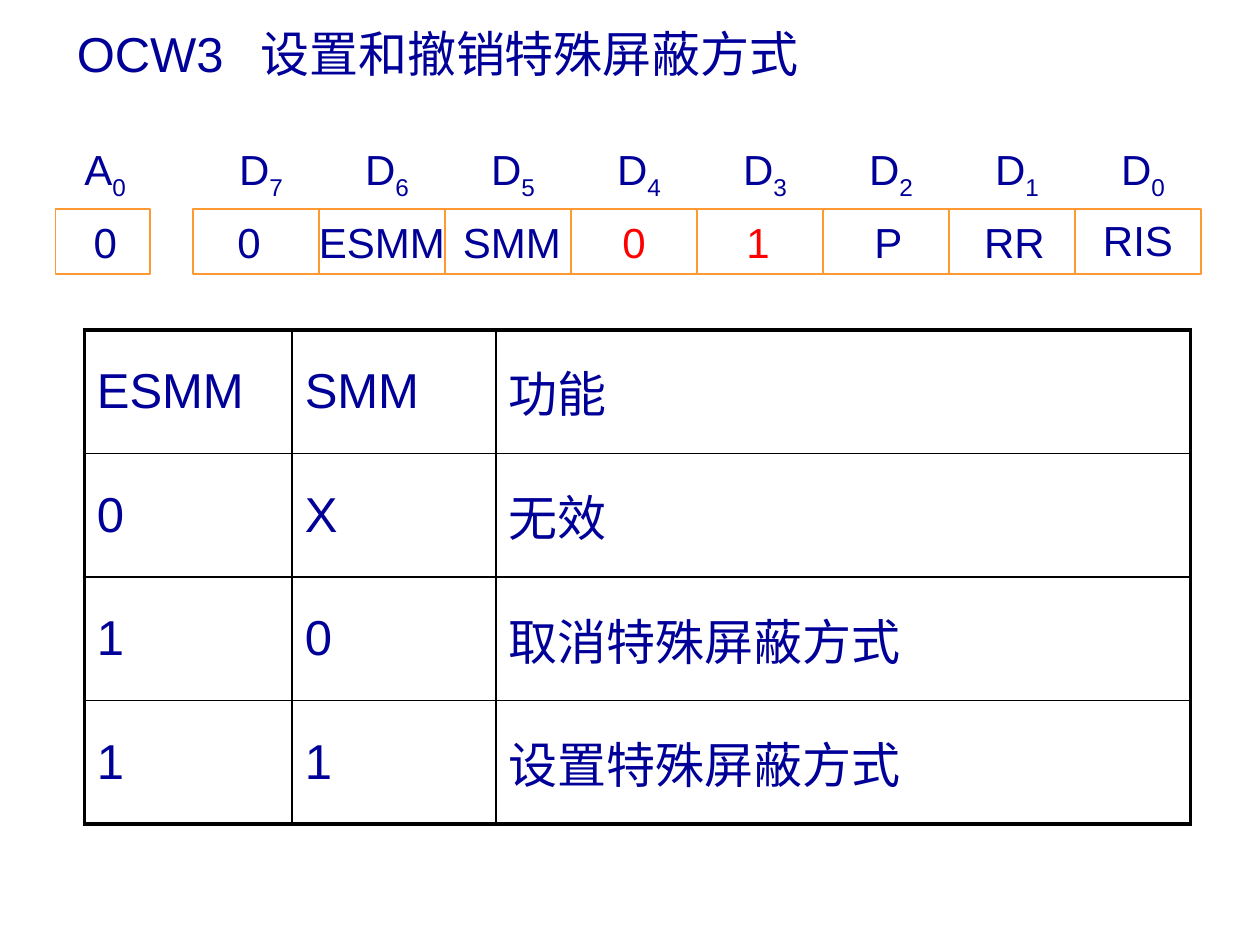
from dataclasses import dataclass

from lxml.etree import SubElement
from pptx import Presentation
from pptx.dml.color import RGBColor as Color
from pptx.enum.shapes import MSO_SHAPE as Shape
from pptx.enum.text import MSO_ANCHOR as Anchor, PP_ALIGN as Align
from pptx.oxml.ns import qn
from pptx.util import Cm, Pt

# Content
TITLE = "OCW3\t设置和撤销特殊屏蔽方式"
ADDRESS_BIT = [("A", "0")]
DATA_BITS = [("D" if n == 7 else "\tD", str(n)) for n in range(7, -1, -1)]
# text, box width, offset from the cell centre (x, y), fixed value?
ADDRESS_VALUE = ("0", 0.99, 0.05, 0, False)
REGISTER = [
    ("0", 0.99, -0.14, 0, False),
    ("ESMM", 3.05, 0, 0, False),
    ("SMM", 2.49, 0.08, 0, False),
    ("0", 0.99, 0, 0, True),
    ("1", 0.99, -0.04, 0, True),
    ("P", 1.07, 0.05, 0, False),
    ("RR", 1.73, 0.05, 0, False),
    ("RIS", 1.93, 0, -0.05, False),
]
FUNCTIONS = [
    ("ESMM", "SMM", "功能"),
    ("0", "X", "无效"),
    ("1", "0", "取消特殊屏蔽方式"),
    ("1", "1", "设置特殊屏蔽方式"),
]

# Layout in centimetres
BIT_TOP, BIT_WIDTH, BIT_HEIGHT = 4.22, 2.54, 1.3
ADDRESS_LEFT, ADDRESS_WIDTH = 1.12, 1.91
REGISTER_LEFT = 3.89
LABEL_TOP, LABEL_HEIGHT = 2.84, 1.27
VALUE_TOP = 4.24
TABLE_LEFT, TABLE_TOP = 1.7, 6.65
COLUMN_WIDTHS, ROW_HEIGHT = (4.19, 4.11, 14), 2.49


@dataclass(frozen=True)
class Theme:
    font: str = "Arial"
    text: Color = Color(0x00, 0x00, 0x99)
    fixed: Color = Color(0xFF, 0x00, 0x00)
    outline: Color = Color(0xFF, 0x99, 0x33)
    border: str = "000000"
    large: Pt = Pt(28)
    medium: Pt = Pt(24)
    thin: Pt = Pt(1)
    thick: Pt = Pt(2.25)


THEME = Theme()


def style(paragraph, size, color=THEME.text):
    paragraph.font.name = THEME.font
    paragraph.font.size = size
    paragraph.font.color.rgb = color


def add_tabs(paragraph, positions):
    tabs = SubElement(paragraph._p.get_or_add_pPr(), qn("a:tabLst"))
    for position in positions:
        SubElement(tabs, qn("a:tab"), pos=str(Cm(position)), algn="l")


def add_text_box(slide, left, top, width, height, wrap=False):
    frame = slide.shapes.add_textbox(Cm(left), Cm(top), Cm(width), Cm(height)).text_frame
    frame.word_wrap = wrap
    frame.vertical_anchor = Anchor.MIDDLE
    return frame.paragraphs[0]


def add_bit_labels(paragraph, labels):
    for letter, index in labels:
        paragraph.add_run().text = letter
        subscript = paragraph.add_run()
        subscript.text = index
        subscript.font._element.set("baseline", "-25000")
    style(paragraph, THEME.medium)


def add_bit(slide, left, width, value):
    cell = slide.shapes.add_shape(
        Shape.RECTANGLE, Cm(left), Cm(BIT_TOP), Cm(width), Cm(BIT_HEIGHT))
    cell.shadow.inherit = False
    cell.fill.background()
    cell.line.color.rgb = THEME.outline
    cell.line.width = THEME.thin

    text, box_width, shift_x, shift_y, fixed = value
    box_left = left + (width - box_width) / 2 + shift_x
    paragraph = add_text_box(slide, box_left, VALUE_TOP + shift_y, box_width, LABEL_HEIGHT)
    paragraph.text = text
    paragraph.alignment = Align.CENTER
    style(paragraph, THEME.medium, THEME.fixed if fixed else THEME.text)


def set_borders(cell, outer_sides):
    """Draw thick lines on the outer sides of the table, thin ones elsewhere."""
    properties = cell._tc.get_or_add_tcPr()
    for side, outer in outer_sides.items():
        width = THEME.thick if outer else THEME.thin
        line = SubElement(properties, qn(f"a:ln{side}"), w=str(width))
        fill = SubElement(line, qn("a:solidFill"))
        SubElement(fill, qn("a:srgbClr"), val=THEME.border)


def add_function_table(slide):
    rows, columns = len(FUNCTIONS), len(COLUMN_WIDTHS)
    table = slide.shapes.add_table(
        rows, columns, Cm(TABLE_LEFT), Cm(TABLE_TOP),
        Cm(sum(COLUMN_WIDTHS)), Cm(rows * ROW_HEIGHT)).table
    table.first_row = table.horz_banding = False
    for column, width in zip(table.columns, COLUMN_WIDTHS):
        column.width = Cm(width)
    for r, texts in enumerate(FUNCTIONS):
        table.rows[r].height = Cm(ROW_HEIGHT)
        for c, text in enumerate(texts):
            cell = table.cell(r, c)
            cell.vertical_anchor = Anchor.MIDDLE
            set_borders(cell, {"L": c == 0, "R": c == columns - 1,
                               "T": r == 0, "B": r == rows - 1})
            cell.fill.background()
            paragraph = cell.text_frame.paragraphs[0]
            paragraph.text = text
            paragraph.alignment = Align.JUSTIFY
            style(paragraph, THEME.large)


def main():
    presentation = Presentation()
    presentation.slide_width, presentation.slide_height = Cm(25.4), Cm(19.05)
    slide = presentation.slides.add_slide(presentation.slide_layouts[6])

    # Title
    title = add_text_box(slide, 1.3, 0, 22.86, 2.13, wrap=True)
    title.text = TITLE
    add_tabs(title, [3.7])
    style(title, THEME.large)

    # Address bit
    add_bit(slide, ADDRESS_LEFT, ADDRESS_WIDTH, ADDRESS_VALUE)
    label = add_text_box(slide, 1.42, LABEL_TOP, 1.4, LABEL_HEIGHT)
    label.alignment = Align.CENTER
    add_bit_labels(label, ADDRESS_BIT)

    # Data bits
    for i, value in enumerate(REGISTER):
        add_bit(slide, REGISTER_LEFT + i * BIT_WIDTH, BIT_WIDTH, value)
    labels = add_text_box(slide, 4.57, LABEL_TOP, 19.23, LABEL_HEIGHT)
    add_tabs(labels, [i * BIT_WIDTH for i in range(1, len(DATA_BITS))])
    add_bit_labels(labels, DATA_BITS)

    # Function table
    add_function_table(slide)

    presentation.save("out.pptx")


if __name__ == "__main__":
    main()
